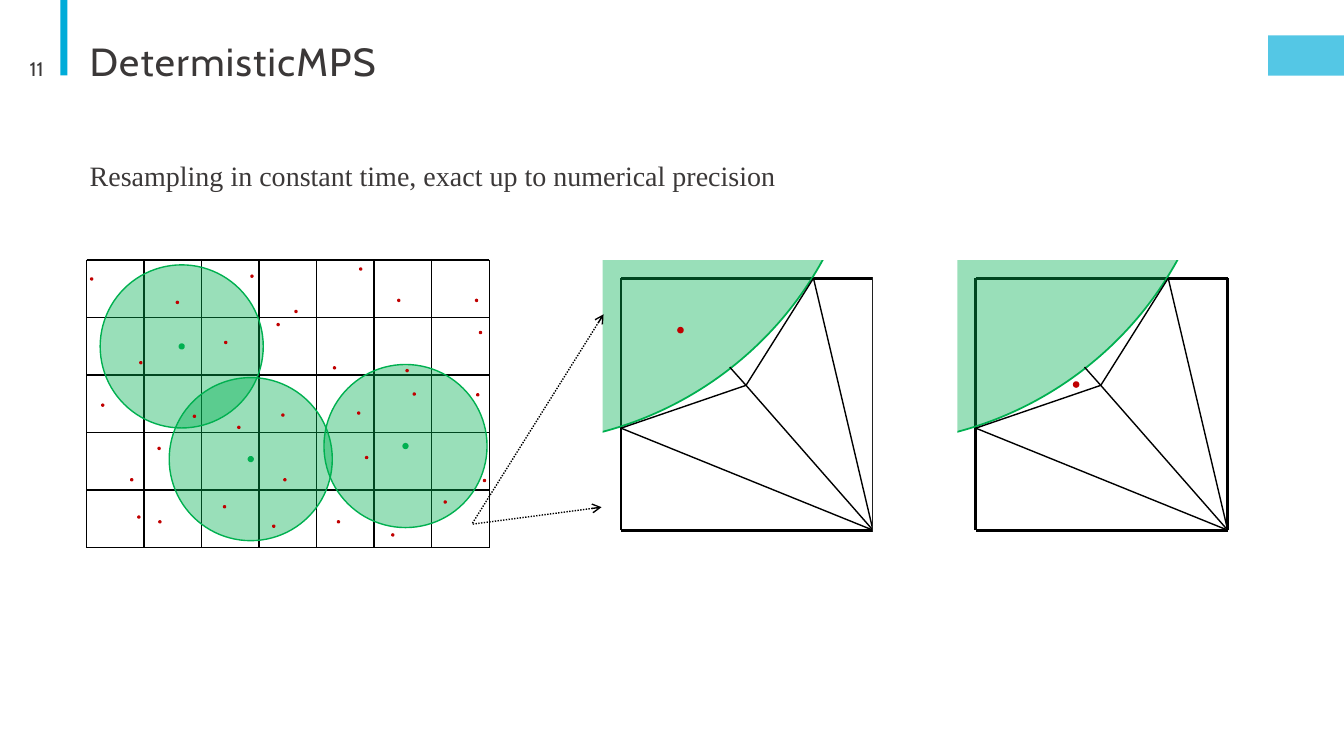
from itertools import pairwise

from lxml.etree import SubElement
from pptx import Presentation
from pptx.dml.color import RGBColor
from pptx.enum.dml import MSO_LINE_DASH_STYLE as Dash
from pptx.enum.shapes import MSO_CONNECTOR as Link, MSO_SHAPE as Preset
from pptx.enum.text import MSO_ANCHOR as Anchor, PP_ALIGN as Align
from pptx.oxml.ns import qn
from pptx.util import Cm, Pt

BLUE = RGBColor(0x00, 0xAC, 0xD9)
GREEN = RGBColor(0x00, 0xB0, 0x50)
RED = RGBColor(0xC0, 0x00, 0x00)
BLACK = RGBColor(0x00, 0x00, 0x00)
WHITE = RGBColor(0xFF, 0xFF, 0xFF)
GREY = RGBColor(0x3B, 0x38, 0x38)

CELL, COLUMNS, ROWS = 1.45, 7, 5
DISC_SIZE = 4.11
DISC_CENTRES = [(8.04, 4.69), (2.4, 2.18), (4.14, 5.02)]
SAMPLES = [
    (0.13, 0.48), (2.29, 1.07), (4.17, 0.41), (5.28, 1.3), (9.83, 1.02), (7.87, 1.02),
    (6.25, 2.72), (4.83, 1.63), (4.72, 6.71), (1.85, 6.6), (3.51, 2.08), (1.37, 2.59),
    (0.41, 3.66), (6.91, 0.23), (8.08, 2.79), (6.86, 3.86), (9.93, 1.83), (4.95, 3.91),
    (5, 5.54), (3.48, 6.22), (2.72, 3.94), (1.83, 4.75), (3.84, 4.22), (7.06, 4.98),
    (8.26, 3.38), (9.86, 3.4), (9.04, 6.1), (7.72, 6.93), (6.35, 6.6), (1.14, 5.54),
    (1.32, 6.48), (10.03, 5.56),
]
PANEL_SIDE = 6.35


def add_line(page, start, end, width=1):
    line = page.shapes.add_connector(Link.STRAIGHT, *map(Cm, (*start, *end)))
    line.line.color.rgb = BLACK
    line.line.width = Pt(width)
    SubElement(line._element.spPr, qn("a:effectLst"))
    return line


def add_figure(page, preset, box, fill, opacity=100, outline=None, width=1):
    figure = page.shapes.add_shape(preset, *map(Cm, box))
    figure.shadow.inherit = False
    figure.fill.solid()
    figure.fill.fore_color.rgb = fill
    if opacity < 100:
        colour = figure._element.spPr.find(qn("a:solidFill"))[0]
        SubElement(colour, qn("a:alpha")).set("val", str(opacity * 1000))
    if outline is None:
        figure.line.fill.background()
    else:
        figure.line.color.rgb = outline
        figure.line.width = Pt(width)
    return figure


def add_round(page, centre, size, colour, **style):
    """Draw a circle around its centre."""
    x, y = centre
    box = (x - size / 2, y - size / 2, size, size)
    return add_figure(page, Preset.OVAL, box, colour, outline=colour, **style)


def add_text(page, box, text, font, size):
    frame = page.shapes.add_textbox(*map(Cm, box)).text_frame
    frame.word_wrap = True
    para = frame.paragraphs[0]
    para.add_run().text = text
    para.font.name = font
    para.font.size = Pt(size)
    para.font.color.rgb = GREY
    return frame, para


def add_header(page):
    add_figure(page, Preset.RECTANGLE, (1.52, 0, 0.18, 1.9), BLUE)
    add_figure(page, Preset.RECTANGLE, (31.96, 0.89, 1.91, 1.02), BLUE, opacity=67)
    title = add_text(page, (2.01, 0.99, 27.94, 1.57), "DetermisticMPS", "Cabin", 28)[1]
    title.line_spacing = 0.85
    title.runs[0]._r.get_or_add_rPr().set("spc", "100")
    frame, number = add_text(page, (0.18, 1.22, 1.17, 1.02), "11", "Cabin", 14)
    frame.vertical_anchor = Anchor.MIDDLE
    number.alignment = Align.RIGHT


def add_body(page):
    text = "Resampling in constant time, exact up to numerical precision"
    para = add_text(page, (2.01, 3.96, 27.94, 9.55), text, "Times New Roman", 20)[1]
    para.line_spacing = 0.9
    para.space_after = Pt(2)


def add_sample_grid(page, left, top):
    right, bottom = left + COLUMNS * CELL, top + ROWS * CELL
    for row in range(ROWS + 1):
        y = top + row * CELL
        add_line(page, (left, y), (right, y))
    for column in range(COLUMNS + 1):
        x = left + column * CELL
        add_line(page, (x, top), (x, bottom))
    for x, y in DISC_CENTRES:
        centre = (left + x, top + y)
        add_round(page, centre, DISC_SIZE, GREEN, opacity=40)
        add_round(page, centre, 0.05, GREEN, width=3)
    for x, y in SAMPLES:
        add_round(page, (left + x, top + y), 0.05, RED)


def add_cell_panel(page, left, top, sample):
    """Draw one enlarged cell: disc sector, triangulated rest and a sample."""
    def at(x, y):
        return left + x, top + y

    corner = at(PANEL_SIDE, PANEL_SIDE)
    frame = [at(0, 0), at(PANEL_SIDE, 0), corner, at(0, PANEL_SIDE), at(0, 0)]
    for start, end in pairwise(frame):
        add_line(page, start, end, width=2)

    sector = add_figure(page, Preset.PIE, (*at(-11.71, -13.74), 17.91, 17.91), GREEN,
                        opacity=40, outline=GREEN, width=1.25)
    sector.adjustments[0] = 16.861
    sector.adjustments[1] = 46.012
    # White margins trim the sector above and to the left of the cell
    add_figure(page, Preset.RECTANGLE, (*at(-2.95, -6.35), 10.36, 5.89), WHITE)
    add_figure(page, Preset.RECTANGLE, (*at(-2.59, -5.94), 2.13, 14.68), WHITE)
    add_round(page, at(*sample), 0.13, RED)

    top_hit, left_hit, arc_point = at(4.85, 0), at(0, 3.78), at(2.74, 2.24)
    apex = at(3.15, 2.7)
    for point in (top_hit, left_hit, arc_point, corner):
        add_line(page, apex, point)
    for point in (top_hit, left_hit):
        add_line(page, point, corner)


def add_zoom_arrows(page, source, targets):
    for target in targets:
        arrow = add_line(page, target, source)
        arrow.line.dash_style = Dash.ROUND_DOT
        SubElement(arrow.line._get_or_add_ln(), qn("a:headEnd")).set("type", "arrow")


def main():
    deck = Presentation()
    deck.slide_width, deck.slide_height = Cm(33.87), Cm(19.05)
    page = deck.slides.add_slide(deck.slide_layouts[6])
    add_sample_grid(page, 2.18, 6.55)
    add_cell_panel(page, 15.65, 7.01, sample=(1.5, 1.31))
    add_cell_panel(page, 24.59, 7.01, sample=(2.53, 2.68))
    add_zoom_arrows(page, (11.89, 13.21), [(15.21, 7.92), (15.16, 12.78)])
    add_header(page)
    add_body(page)
    deck.save("out.pptx")


if __name__ == "__main__":
    main()
